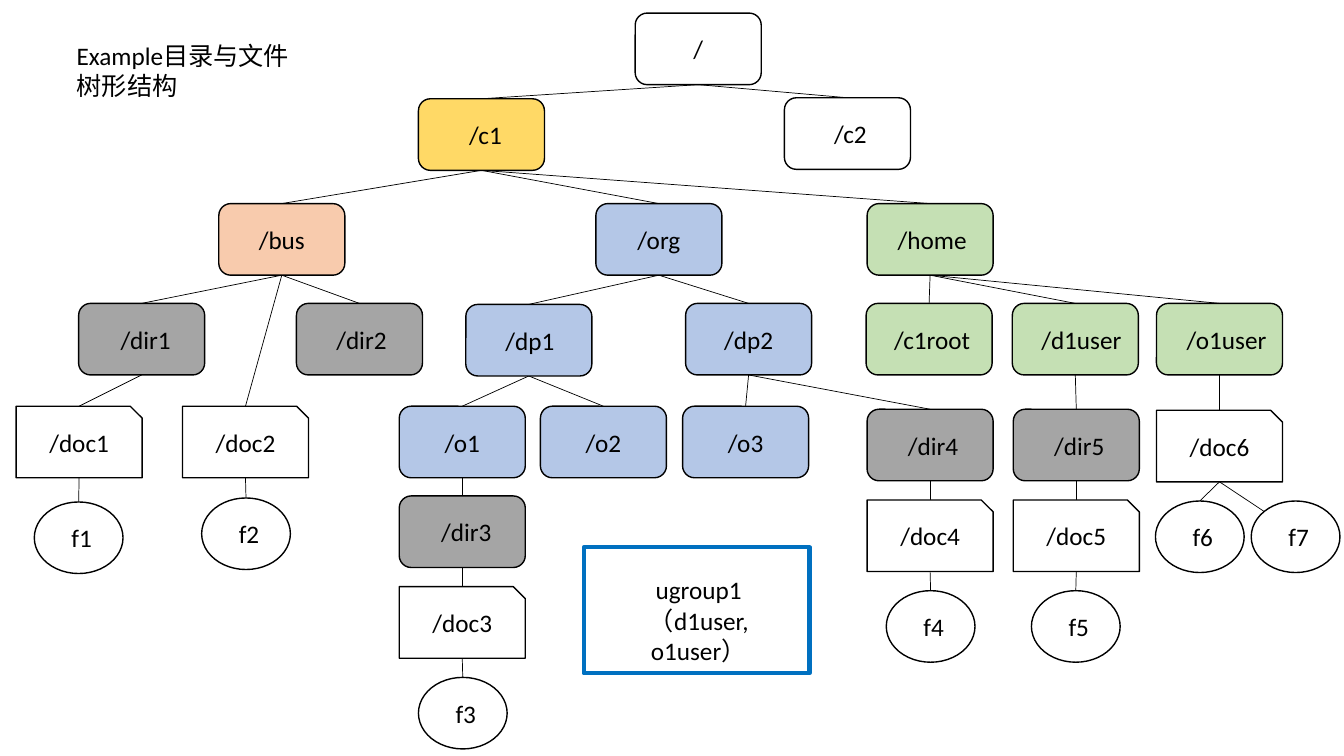
from dataclasses import dataclass

import pptx
import pptx.dml.color
import pptx.enum.shapes
import pptx.enum.text
import pptx.oxml
import pptx.util

Inches, Pt = pptx.util.Inches, pptx.util.Pt
Shape = pptx.enum.shapes.MSO_SHAPE
Align, Anchor = pptx.enum.text.PP_ALIGN, pptx.enum.text.MSO_ANCHOR
NODE_H = 0.71


@dataclass(frozen=True)
class Kind:
    shape: Shape
    fill: str = "FFFFFF"
    width: float = 1.25


@dataclass(frozen=True)
class Node:
    label: str
    x: float
    y: float
    kind: Kind
    parent: str = ""
    shift: float = 0  # label offset to the right of the centre
    corner: bool = False  # link ends at the upper left of the ellipse


PLAIN = Kind(Shape.ROUNDED_RECTANGLE)
COMPANY = Kind(Shape.ROUNDED_RECTANGLE, "FFD966")
BUS = Kind(Shape.ROUNDED_RECTANGLE, "F8CBAD")
ORG = Kind(Shape.ROUNDED_RECTANGLE, "B4C7E7")
HOME = Kind(Shape.ROUNDED_RECTANGLE, "C5E0B4")
DIR = Kind(Shape.ROUNDED_RECTANGLE, "A5A5A5")
DOC = Kind(Shape.SNIP_1_RECTANGLE)
FILE = Kind(Shape.OVAL, width=0.88)

NODES = [
    Node("/", 6.3, 0.13, PLAIN),
    Node("/c1", 4.15, 0.98, COMPANY, "/", 0.04),
    Node("/c2", 7.78, 0.97, PLAIN, "/", 0.03),
    Node("/bus", 2.17, 2.02, BUS, "/c1"),
    Node("/org", 5.91, 2.02, ORG, "/c1"),
    Node("/home", 8.6, 2.02, HOME, "/c1", 0.02),
    # Business branch
    Node("/dir1", 0.78, 3.01, DIR, "/bus", 0.04),
    Node("/dir2", 2.94, 3.01, DIR, "/bus", 0.02),
    Node("/doc1", 0.16, 4.03, DOC, "/dir1"),
    Node("/doc2", 1.81, 4.03, DOC, "/bus"),
    Node("f1", 0.34, 4.98, FILE, "/doc1", 0.03),
    Node("f2", 2, 4.94, FILE, "/doc2", 0.03),
    # Organisation branch
    Node("/dp1", 4.62, 3.02, ORG, "/org", 0.01),
    Node("/dp2", 6.8, 3.01, ORG, "/org"),
    Node("/o1", 3.96, 4.03, ORG, "/dp1"),
    Node("/o2", 5.36, 4.03, ORG, "/dp1"),
    Node("/o3", 6.77, 4.03, ORG, "/dp2"),
    Node("/dir3", 3.96, 4.92, DIR, "/o1", 0.04),
    Node("/doc3", 3.96, 5.82, DOC, "/dir3"),
    Node("f3", 4.15, 6.72, FILE, "/doc3", 0.03),
    Node("/dir4", 8.6, 4.06, DIR, "/dp2", 0.03),
    Node("/doc4", 8.6, 4.96, DOC, "/dir4"),
    Node("f4", 8.79, 5.86, FILE, "/doc4", 0.03),
    # Home branch
    Node("/c1root", 8.59, 3.01, HOME, "/home", 0.03),
    Node("/d1user", 10.04, 3.01, HOME, "/home", 0.06),
    Node("/o1user", 11.47, 3.01, HOME, "/home", 0.07),
    Node("/dir5", 10.05, 4.06, DIR, "/d1user", 0.03),
    Node("/doc5", 10.05, 4.96, DOC, "/dir5"),
    Node("f5", 10.23, 5.86, FILE, "/doc5", 0.03),
    Node("/doc6", 11.47, 4.07, DOC, "/o1user"),
    Node("f6", 11.46, 4.97, FILE, "/doc6", 0.03),
    Node("f7", 12.41, 4.97, FILE, "/doc6", 0.03, corner=True),
]


def rgb(value: str) -> pptx.dml.color.RGBColor:
    return pptx.dml.color.RGBColor.from_string(value)


def write(sp, text: str, align: Align, anchor: Anchor, insets: tuple) -> None:
    """Fill a text frame; insets are left, top, right, bottom in inches."""
    tf = sp.text_frame
    tf.text = text
    tf.word_wrap = True
    tf.auto_size = pptx.enum.text.MSO_AUTO_SIZE.NONE
    tf.vertical_anchor = anchor
    tf.margin_left, tf.margin_top, tf.margin_right, tf.margin_bottom = map(Inches, insets)
    for p in tf.paragraphs:
        p.alignment = align
        p.font.size = Pt(18)
        p.font.name = "Calibri"
        p.font.color.rgb = rgb("000000")


def add_box(s, shape: Shape, box: tuple, fill: str, line: str, weight: float):
    sp = s.shapes.add_shape(shape, *map(Inches, box))
    sp.shadow.inherit = False
    sp.fill.solid()
    sp.fill.fore_color.rgb = rgb(fill)
    sp.line.color.rgb = rgb(line)
    sp.line.width = Pt(weight)
    return sp


def add_node(s, node: Node) -> None:
    kind = node.kind
    sp = add_box(s, kind.shape, (node.x, node.y, kind.width, NODE_H), kind.fill, "000000", 1)
    snip = 0.06 if kind is DOC else 0  # balances the cut corner's text area
    write(sp, node.label, Align.CENTER, Anchor.MIDDLE, (2 * node.shift + snip, 0, 0, snip))


def add_link(s, parent: Node, child: Node) -> None:
    end_x, end_y = child.x + child.kind.width / 2, child.y
    if child.corner:
        end_x, end_y = child.x + 0.15 * child.kind.width, child.y + 0.15 * NODE_H
    ends = (parent.x + parent.kind.width / 2, parent.y + NODE_H, end_x, end_y)
    line = s.shapes.add_connector(pptx.enum.shapes.MSO_CONNECTOR.STRAIGHT, *map(Inches, ends))
    line.line.color.rgb = rgb("000000")
    line.line.width = Pt(0.5)
    line._element.spPr.append(pptx.oxml.parse_xml(
        '<a:effectLst xmlns:a="http://schemas.openxmlformats.org/drawingml/2006/main"/>'))


prs = pptx.Presentation()
prs.slide_width, prs.slide_height = Inches(13.33), Inches(7.5)
s = prs.slides.add_slide(prs.slide_layouts[5])

# Title
title = s.shapes.title
title.left, title.top, title.width, title.height = map(Inches, (0.66, 0.35, 2.87, 0.71))
write(title, "Example目录与文件\n树形结构", Align.LEFT, Anchor.TOP, (0.1, 0.05, 0.1, 0.05))

# Directory tree
by_label = {node.label: node for node in NODES}
for node in NODES:
    if node.parent:
        add_link(s, by_label[node.parent], node)
for node in NODES:
    add_node(s, node)

# User group
group = add_box(s, Shape.RECTANGLE, (5.79, 5.43, 2.24, 1.25), "FFFFFF", "0070C0", 3)
write(group, "ugroup1\n（d1user, o1user）", Align.CENTER, Anchor.MIDDLE, (0.22, 0.24, 0.18, 0.05))

prs.save("out.pptx")
